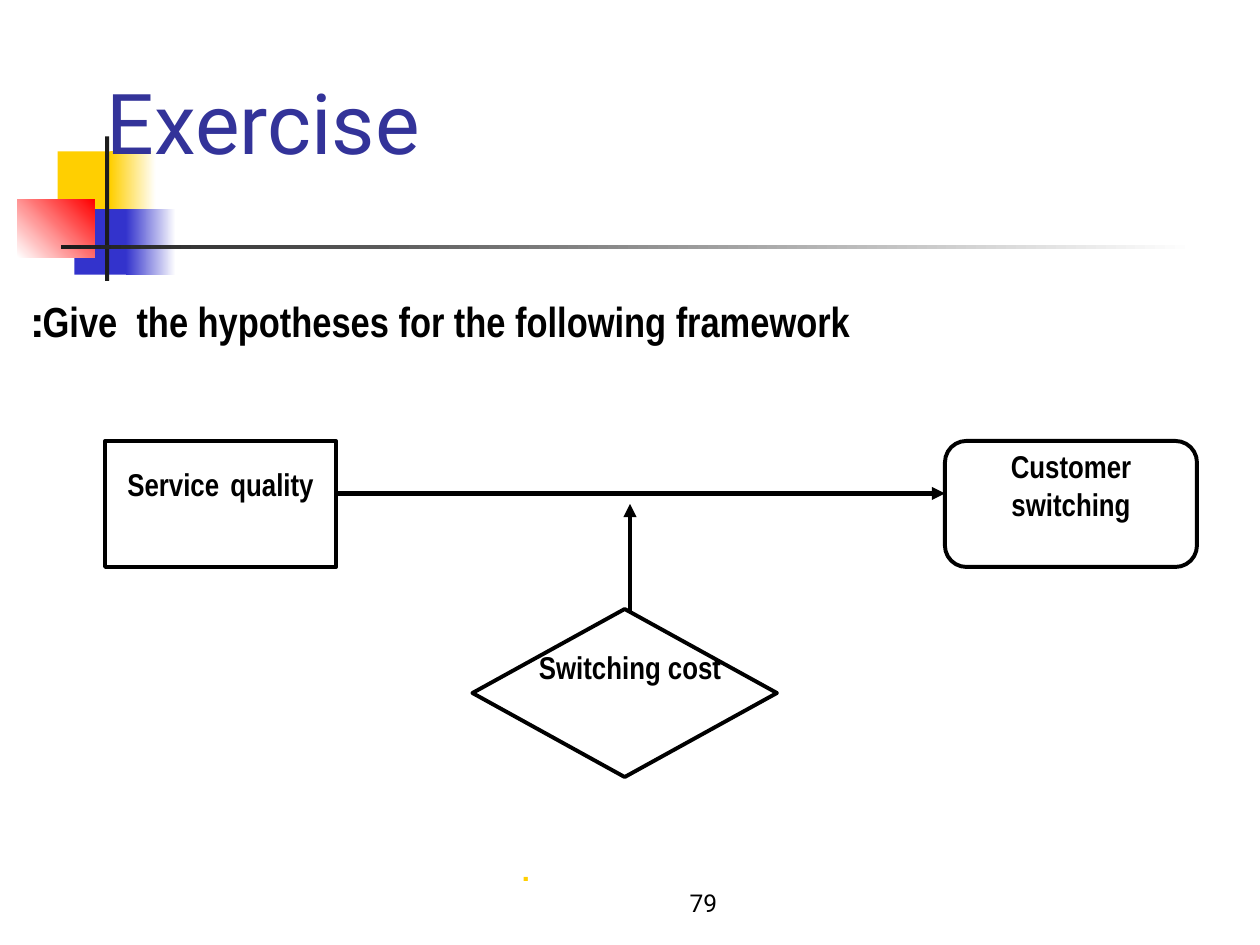
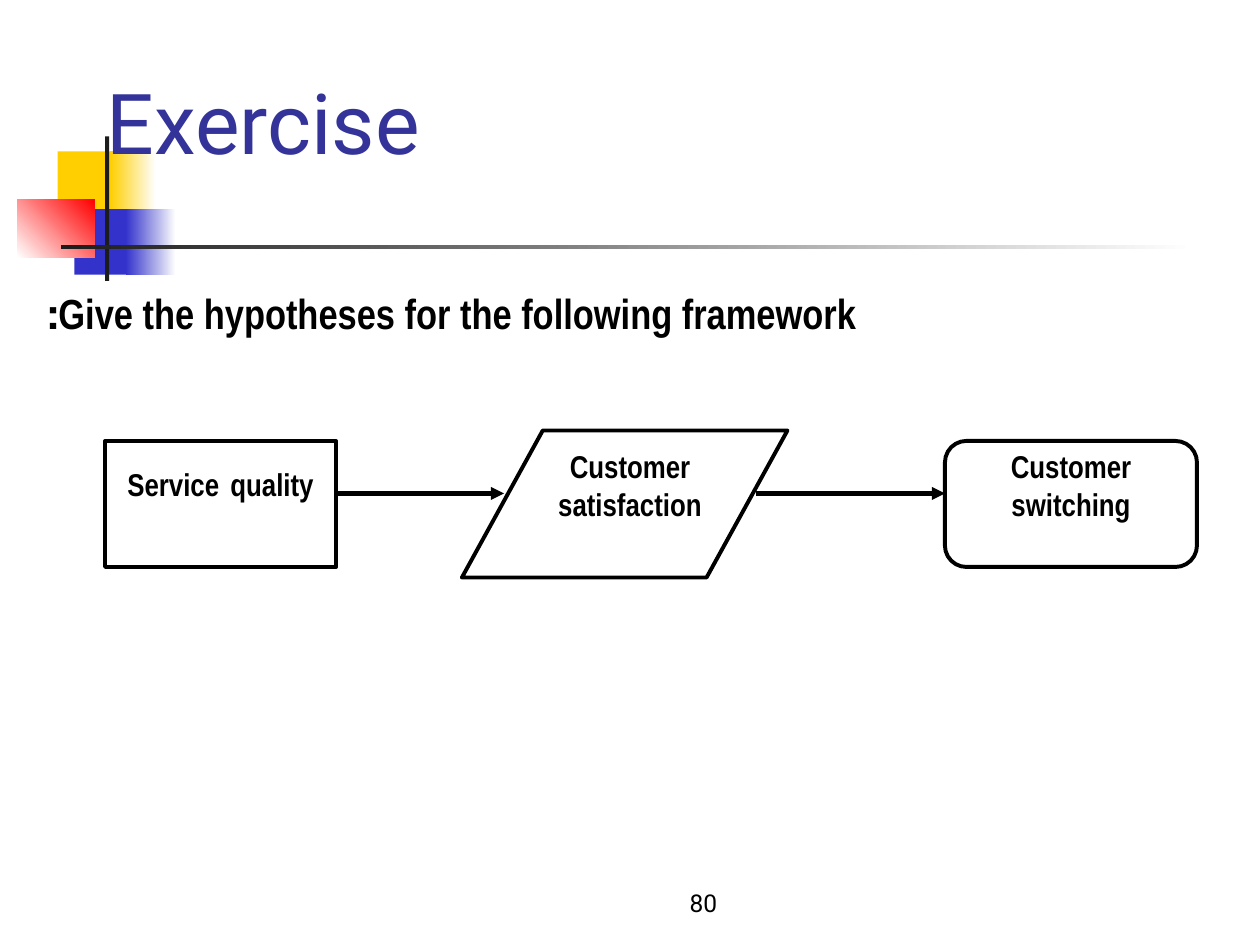
from lxml.etree import SubElement
from pptx import Presentation
from pptx.dml.color import RGBColor
from pptx.enum.shapes import MSO_CONNECTOR, MSO_SHAPE
from pptx.enum.text import MSO_ANCHOR, PP_ALIGN
from pptx.oxml.ns import qn
from pptx.util import Pt

HUES = {"gold": "FFCF01", "blue": "3333CC", "red": "FF0000", "white": "FFFFFF",
        "dark": "1C1C1C", "navy": "333399", "black": "000000"}

BANDS = [
    ((33, 86.5, 34.5, 37.5), ["gold"], 0),
    ((63, 86.5, 26, 37.5), ["gold", "white"], 0),
    ((42.5, 119.5, 33, 37.5), ["blue"], 0),
    ((72, 119.5, 28.5, 37.5), ["blue", "white"], 0),
    ((10, 114, 44, 33), ["white", "red"], 45),
    ((60, 78, 2.4, 82.5), ["dark"], 0),
    ((35, 140, 648, 2.4), ["dark", "white"], 0),
]

BOLD = {"name": "Arial Narrow", "bold": True}
FONTS = {
    "title": {"name": "Roboto", "size": Pt(48)},
    "page": {"name": "Roboto", "size": Pt(14)},
    "task": {**BOLD, "size": Pt(24)},
    "label": {**BOLD, "size": Pt(18)},
    "dot": {**BOLD, "size": Pt(16)},
}
FRAME = {"word_wrap": True, "margin_left": Pt(7.2), "margin_right": Pt(7.2),
         "margin_top": Pt(3.6), "margin_bottom": Pt(3.6)}

MID = 282
LEFT, RIGHT = 192, 540


def apply(item, values):
    """Set each named attribute of an item."""
    for key, value in values.items():
        setattr(item, key, value)


def color(name):
    """Look up a colour by name."""
    return RGBColor.from_string(HUES[name])


def put_text(shape, parts, style, hue="black", align=PP_ALIGN.CENTER,
             anchor=MSO_ANCHOR.TOP, rtl=True):
    """Write one paragraph of (text, size) parts in a shape."""
    frame = shape.text_frame
    apply(frame, {**FRAME, "vertical_anchor": anchor})
    para = frame.paragraphs[0]
    para.alignment = align
    if rtl:
        para._p.get_or_add_pPr().set("rtl", "1")
    for text, size in parts:
        run = para.add_run()
        run.text = text
        apply(run.font, FONTS[style])
        run.font.color.rgb = color(hue)
        if size:
            run.font.size = Pt(size)


def add_text(slide, box, text, style, **look):
    """Add a text box with one line of text."""
    shape = slide.shapes.add_textbox(*map(Pt, box))
    put_text(shape, [(text, None)], style, **look)


def add_band(slide, box, hues, angle):
    """Add a plain or graded block without a line."""
    shape = slide.shapes.add_shape(MSO_SHAPE.RECTANGLE, *map(Pt, box))
    shape.shadow.inherit = False
    shape.line.fill.background()
    if len(hues) == 1:
        shape.fill.solid()
        shape.fill.fore_color.rgb = color(hues[0])
        return
    shape.fill.gradient()
    shape.fill.gradient_angle = angle
    for stop, hue in zip(shape.fill.gradient_stops, hues):
        stop.color.rgb = color(hue)


def add_node(slide, kind, box, bend=None):
    """Add an outlined node of the framework."""
    shape = slide.shapes.add_shape(kind, *map(Pt, box))
    shape.shadow.inherit = False
    shape.fill.background()
    shape.line.color.rgb = color("black")
    shape.line.width = Pt(2.25)
    if bend:
        shape.adjustments[0] = bend
    return shape


def add_arrow(slide, *ends):
    """Add a straight arrow from x, y to x, y."""
    arrow = slide.shapes.add_connector(MSO_CONNECTOR.STRAIGHT, *map(Pt, ends))
    arrow.line.color.rgb = color("black")
    arrow.line.width = Pt(2.5)
    props = arrow._element.spPr
    SubElement(props.find(qn("a:ln")), qn("a:tailEnd"), type="triangle")
    SubElement(props, qn("a:effectLst"))


def add_base(deck, page):
    """Add a slide with its bands, title and page number."""
    slide = deck.slides.add_slide(deck.slide_layouts[6])
    for band in BANDS:
        add_band(slide, *band)
    add_text(slide, (54, 24, 612, 77.5), "Exercise", "title", hue="navy",
             align=PP_ALIGN.LEFT, anchor=MSO_ANCHOR.BOTTOM)
    add_text(slide, (288, 492, 228, 36), page, "page",
             anchor=MSO_ANCHOR.BOTTOM, rtl=False)
    return slide


def add_ends(slide):
    """Add the cause on the left and the effect on the right."""
    cause = add_node(slide, MSO_SHAPE.RECTANGLE, (60, 252, 132, 72))
    put_text(cause, [("Service", None), (" ", 28), ("quality", None)], "label")
    add_node(slide, MSO_SHAPE.ROUNDED_RECTANGLE, (RIGHT, 252, 144, 72), 0.17)
    add_text(slide, (546, 252, 132, 65.5), "Customer switching", "label")


def add_cost(deck):
    """Build the slide where switching cost moderates."""
    slide = add_base(deck, "79")
    add_text(slide, (0, 165.5, 493, 36.5),
             "Give  the hypotheses for the following framework:", "task",
             align=PP_ALIGN.RIGHT)
    add_ends(slide)
    add_arrow(slide, LEFT, MID, RIGHT, MID)
    add_arrow(slide, 360, 350.5, 360, 288)
    add_node(slide, MSO_SHAPE.DIAMOND, (270, 348, 174, 96))
    add_text(slide, (294, 367, 132, 65.5), "Switching cost", "label")
    add_text(slide, (11.5, 484, 298, 26.5), ".", "dot", hue="gold",
             align=PP_ALIGN.RIGHT)


def add_link(deck):
    """Build the slide where satisfaction mediates."""
    slide = add_base(deck, "80")
    add_text(slide, (8.5, 160.5, 488, 71),
             "Give the hypotheses for the following framework:", "task",
             align=PP_ALIGN.RIGHT)
    add_arrow(slide, 432, MID, RIGHT, MID)
    add_arrow(slide, LEFT, MID, 288, MID)
    add_node(slide, MSO_SHAPE.PARALLELOGRAM, (264, 246, 186, 84), 0.55)
    add_text(slide, (282, 252, 156, 65.5), "Customer satisfaction", "label")
    add_ends(slide)


def main():
    """Build and save the deck."""
    deck = Presentation()
    apply(deck, {"slide_width": Pt(720), "slide_height": Pt(540)})
    add_cost(deck)
    add_link(deck)
    deck.save("out.pptx")


if __name__ == "__main__":
    main()
